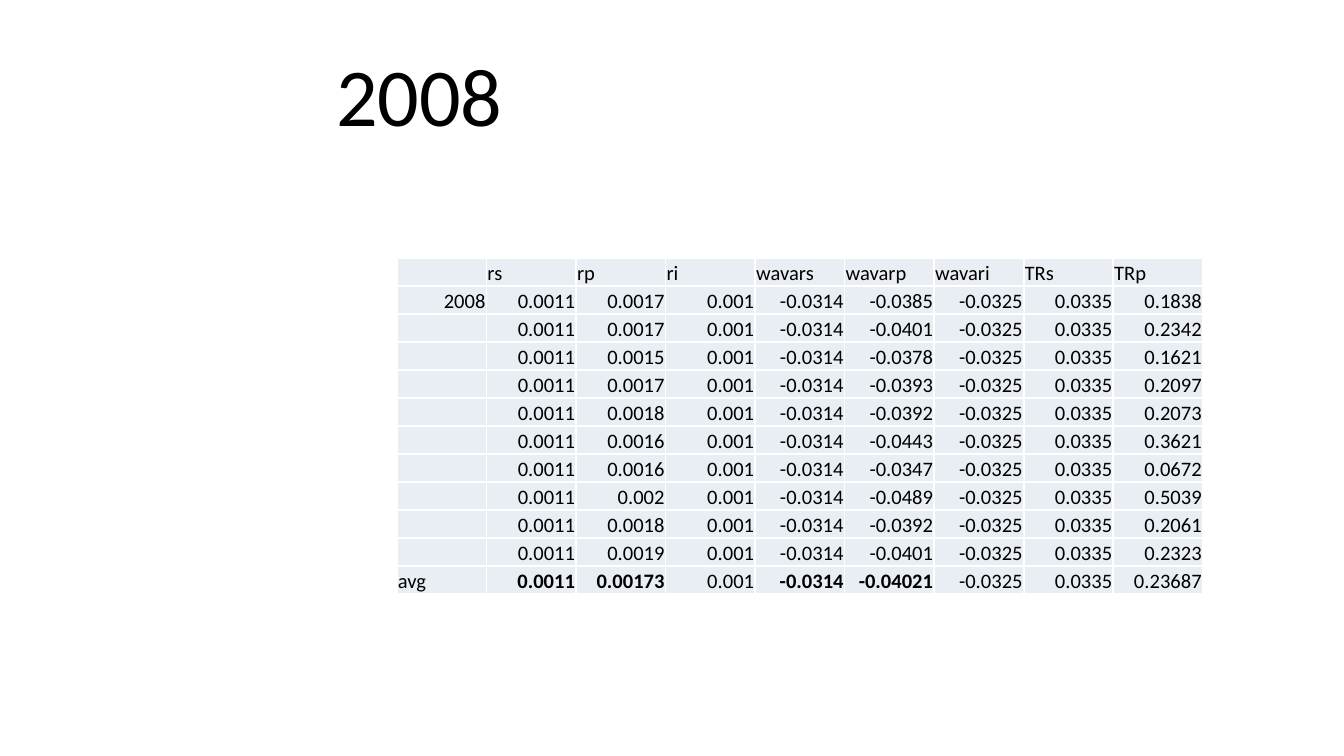
from lxml import etree
from pptx import Presentation
from pptx.dml.color import RGBColor
from pptx.enum.text import MSO_ANCHOR, PP_ALIGN
from pptx.oxml.ns import qn
from pptx.util import Pt

MIDDLE, BOTTOM = MSO_ANCHOR.MIDDLE, MSO_ANCHOR.BOTTOM
LEFT, RIGHT = PP_ALIGN.LEFT, PP_ALIGN.RIGHT

TITLE = "2008"
HEADER = ["", "rs", "rp", "ri", "wavars", "wavarp", "wavari", "TRs", "TRp"]
RS, RI, WAVARS, WAVARI, TRS = "0.0011", "0.001", "-0.0314", "-0.0325", "0.0335"
TRIALS = [  # rp, wavarp, TRp
    ("0.0017", "-0.0385", "0.1838"),
    ("0.0017", "-0.0401", "0.2342"),
    ("0.0015", "-0.0378", "0.1621"),
    ("0.0017", "-0.0393", "0.2097"),
    ("0.0018", "-0.0392", "0.2073"),
    ("0.0016", "-0.0443", "0.3621"),
    ("0.0016", "-0.0347", "0.0672"),
    ("0.002", "-0.0489", "0.5039"),
    ("0.0018", "-0.0392", "0.2061"),
    ("0.0019", "-0.0401", "0.2323"),
]
AVERAGE = ("0.00173", "-0.04021", "0.23687")
BOLD_AVERAGES = {"rs", "rp", "wavars", "wavarp"}

FONT = "Calibri"
COLORS = {"text": "000000", "cell": "E9EDF4", "border": "FFFFFF"}
SCALE = 914400 / 134.4
SLIDE_SIZE = (1344, 756)
TITLE_BOX = (323, 31, 954, 126)
TABLE_BOX = (397, 258, 806, 336)
CELL_FORMAT = {"margin_left": 1, "margin_right": 1, "margin_top": 1, "margin_bottom": 0}


def px(length):
    return round(length * SCALE)


def add_text(paragraph, text, size, bold=False):
    run = paragraph.add_run()
    run.text = text
    for name, value in {"name": FONT, "size": Pt(size), "bold": bold}.items():
        setattr(run.font, name, value)
    run.font.color.rgb = RGBColor.from_string(COLORS["text"])


def add_borders(cell):
    properties = cell._tc.get_or_add_tcPr()
    for side in ("lnL", "lnR", "lnT", "lnB"):
        line = etree.SubElement(properties, qn(f"a:{side}"), w=str(Pt(1)))
        fill = etree.SubElement(line, qn("a:solidFill"))
        etree.SubElement(fill, qn("a:srgbClr"), val=COLORS["border"])


def data_row(label, rp, wavarp, trp):
    return [label, RS, rp, RI, WAVARS, wavarp, WAVARI, TRS, trp]


def fill_cell(cell, text, alignment, bold):
    add_borders(cell)
    cell.fill.solid()
    cell.fill.fore_color.rgb = RGBColor.from_string(COLORS["cell"])
    cell.vertical_anchor = BOTTOM
    for name, value in CELL_FORMAT.items():
        setattr(cell, name, px(value))
    paragraph = cell.text_frame.paragraphs[0]
    paragraph.alignment = alignment
    if text:
        add_text(paragraph, text, 11, bold)
    else:  # keeps an empty cell from stretching its row
        etree.SubElement(paragraph._p, qn("a:endParaRPr"), sz="1100")


def add_title(slide):
    frame = slide.shapes.add_textbox(*map(px, TITLE_BOX)).text_frame
    frame.word_wrap = True
    frame.vertical_anchor = MIDDLE
    add_text(frame.paragraphs[0], TITLE, 44)


def add_results_table(slide):
    rows = [HEADER]
    rows += [data_row("" if index else TITLE, *trial) for index, trial in enumerate(TRIALS)]
    rows.append(data_row("avg", *AVERAGE))
    left, top, width, height = map(px, TABLE_BOX)
    table = slide.shapes.add_table(len(rows), len(HEADER), left, top, width, height).table
    table.first_row = table.horz_banding = False
    for row_index, row in enumerate(rows):
        is_average = row is rows[-1]
        for column_index, text in enumerate(row):
            is_label = row is HEADER or text == "avg"
            bold = is_average and HEADER[column_index] in BOLD_AVERAGES
            fill_cell(table.cell(row_index, column_index), text, LEFT if is_label else RIGHT, bold)


def main():
    presentation = Presentation()
    presentation.slide_width, presentation.slide_height = map(px, SLIDE_SIZE)
    slide = presentation.slides.add_slide(presentation.slide_layouts[6])
    add_title(slide)
    add_results_table(slide)
    presentation.save("out.pptx")


if __name__ == "__main__":
    main()
